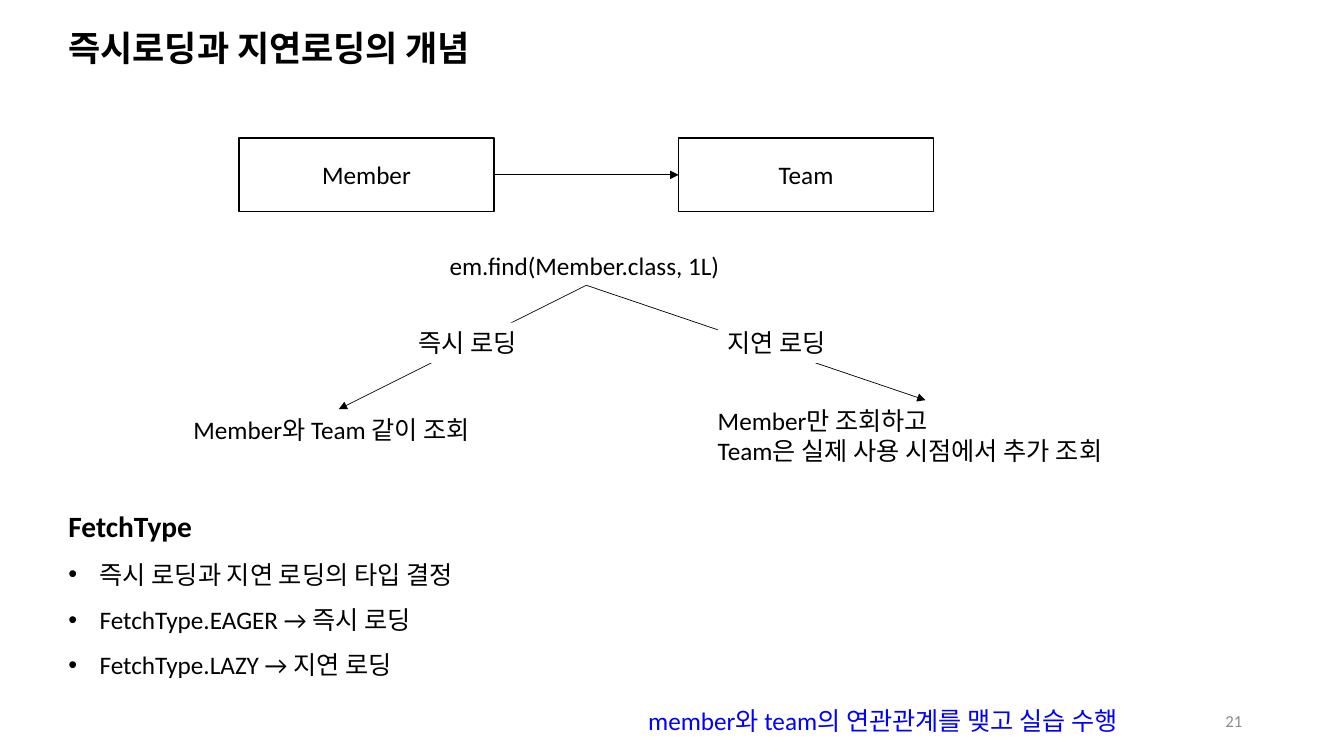
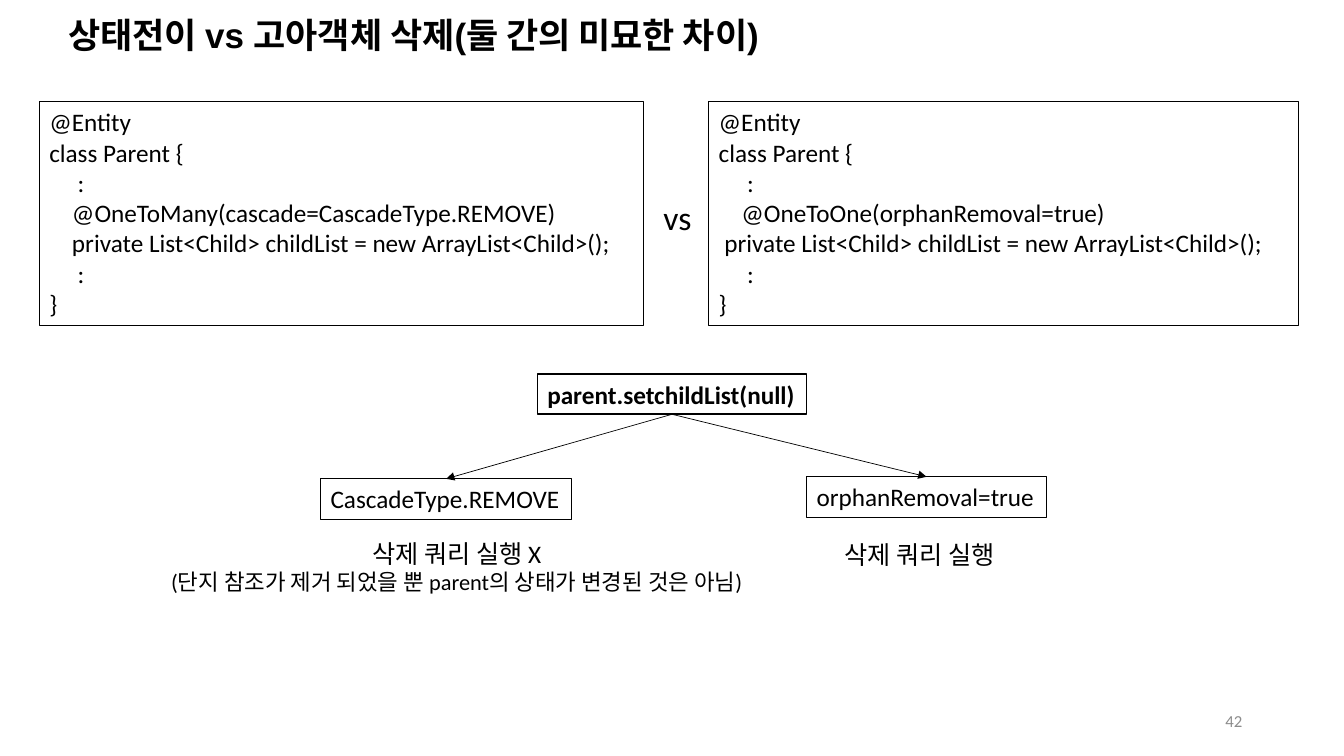
"""Builds two slides on loading strategies and orphan removal."""
from pptx import Presentation, util as u
from pptx.dml.color import RGBColor
from pptx.enum import shapes, text
from pptx.oxml.ns import qn
from lxml import etree

PX = 9144
BLACK, WHITE, BLUE, GREY = "000000", "FFFFFF", "0000FF", "8C8C8C"
TITLE_BOX, NUMBER_BOX = (58, 18, 1150, 38), (942, 695, 300, 40)
TOP, LEFT, BOTTOM, RIGHT = range(4)
CENTER = text.PP_ALIGN.CENTER
MIDDLE = text.MSO_ANCHOR.MIDDLE

STYLES = {
    "plain": {},
    "wrapped": {"wrap": True},
    "centered": {"align": CENTER},
    "label": {"fill": WHITE},
    "entity": {"fill": WHITE, "line": 1, "align": CENTER, "anchor": MIDDLE,
               "wrap": True, "grow": False},
    "code": {"line": 0.75, "wrap": True},
    "call": {"fill": WHITE, "line": 1, "font": {"bold": True}},
    "option": {"line": 0.75},
    "versus": {"font": {"size": 24}},
    "note": {"font": {"color": BLUE}},
    "bullets": {"wrap": True, "spacing": 1.5, "bullets": True},
    "number": {"align": text.PP_ALIGN.RIGHT, "anchor": MIDDLE, "wrap": True,
               "grow": False, "font": {"size": 12, "color": GREY}},
}


def entity_code(annotation, indent):
    return ["@Entity", "class Parent {", "     :", "    " + annotation,
            indent + "private List<Child> childList = new ArrayList<Child>();",
            "     :", "}"]


SLIDES = [
    {"title": "즉시로딩과 지연로딩의 개념", "spacing": 1.5, "number": "21",
     "boxes": [
         ("member", "entity", (237, 137, 253, 73), ["Member"]),
         ("team", "entity", (673, 137, 253, 73), ["Team"]),
         ("find", "plain", (436, 243, 291, 40), ["em.find(Member.class, 1L)"]),
         ("together", "wrapped", (182, 406, 308, 40), ["Member와 Team 같이 조회"]),
         ("later", "plain", (702, 397, 432, 71),
          ["Member만 조회하고", "Team은 실제 사용 시점에서 추가 조회"]),
         ("fetch", "bullets", (58, 482, 667, 199),
          [("FetchType", {"size": 21, "bold": True}),
           "즉시 로딩과 지연 로딩의 타입 결정",
           "FetchType.EAGER → 즉시 로딩", "FetchType.LAZY → 지연 로딩"]),
         ("practice", "note", (633, 695, 518, 40),
          ["member와 team의 연관관계를 맺고 실습 수행"]),
     ],
     "arrows": [("member", RIGHT, "team", LEFT),
                ("find", BOTTOM, "together", TOP),
                ("find", BOTTOM, "later", TOP)],
     "labels": [
         ("eager", "label", (405, 320, 127, 40), ["즉시 로딩"]),
         ("lazy", "label", (712, 320, 127, 40), ["지연 로딩"]),
     ]},
    {"title": "상태전이 vs 고아객체 삭제(둘 간의 미묘한 차이)", "spacing": 0.9,
     "number": "42",
     "boxes": [
         ("cascade code", "code", (39, 101, 599, 222),
          entity_code("@OneToMany(cascade=CascadeType.REMOVE)", "    ")),
         ("orphan code", "code", (703, 101, 585, 222),
          entity_code("@OneToOne(orphanRemoval=true)", " ")),
         ("vs", "versus", (648, 190, 48, 50), ["vs"]),
         ("call", "call", (533, 371, 267, 40), ["parent.setchildList(null)"]),
         ("cascade", "option", (318, 475, 249, 40), ["CascadeType.REMOVE"]),
         ("orphan", "option", (800, 473, 238, 40), ["orphanRemoval=true"]),
         ("cascade result", "centered", (136, 529, 634, 67),
          ["삭제 쿼리 실행 X",
           ("(단지 참조가 제거 되었을 뿐 parent의 상태가 변경된 것은 아님)",
            {"size": 16})]),
         ("orphan result", "plain", (828, 530, 183, 40), ["삭제 쿼리 실행"]),
     ],
     "arrows": [("call", BOTTOM, "cascade", TOP),
                ("call", BOTTOM, "orphan", TOP)],
     "labels": []},
]


def rgb(value):
    return RGBColor.from_string(value)


def emu(box):
    return [v * PX for v in box]


def add_run(p, words, **changes):
    r = p.add_run()
    r.text = words
    values = {"name": "Calibri", "size": 18, "bold": False, "color": BLACK, **changes}
    r.font.color.rgb = rgb(values.pop("color"))
    values["size"] = u.Pt(values["size"])
    for key, value in values.items():
        setattr(r.font, key, value)


def add_bullet(p):
    pPr = p._p.get_or_add_pPr()
    pPr.set("marL", str(31 * PX))
    pPr.set("indent", str(-31 * PX))
    etree.SubElement(pPr, qn("a:buFont")).set("typeface", "Arial")
    etree.SubElement(pPr, qn("a:buChar")).set("char", "•")


def add_box(s, style, box, lines):
    look = STYLES[style]
    if "fill" in look or "line" in look:
        sp = s.shapes.add_shape(shapes.MSO_SHAPE.RECTANGLE, *emu(box))
        sp.shadow.inherit = False
    else:
        sp = s.shapes.add_textbox(*emu(box))
    if "fill" in look:
        sp.fill.solid()
        sp.fill.fore_color.rgb = rgb(look["fill"])
    else:
        sp.fill.background()
    if "line" in look:
        sp.line.color.rgb = rgb(BLACK)
        sp.line.width = u.Pt(look["line"])
    else:
        sp.line.fill.background()
    tf = sp.text_frame
    tf.word_wrap = look.get("wrap", False)
    tf.vertical_anchor = look.get("anchor", text.MSO_ANCHOR.TOP)
    fit = text.MSO_AUTO_SIZE
    tf.auto_size = fit.SHAPE_TO_FIT_TEXT if look.get("grow", True) else fit.NONE
    for i, line in enumerate(lines):
        words, changes = (line, {}) if isinstance(line, str) else line
        p = tf.add_paragraph() if i else tf.paragraphs[0]
        if i and look.get("bullets"):
            add_bullet(p)
        p.alignment = look.get("align", text.PP_ALIGN.LEFT)
        p.line_spacing = look.get("spacing")
        add_run(p, words, **{**look.get("font", {}), **changes})
    return sp


def add_arrow(s, start, start_side, end, end_side):
    c = s.shapes.add_connector(shapes.MSO_CONNECTOR.STRAIGHT, 0, 0, 0, 0)
    c.begin_connect(start, start_side)
    c.end_connect(end, end_side)
    c.line.color.rgb = rgb(BLACK)
    c.line.width = u.Pt(0.5)
    spPr = c._element.spPr
    etree.SubElement(spPr.find(qn("a:ln")), qn("a:tailEnd")).set("type", "triangle")
    etree.SubElement(spPr, qn("a:effectLst"))


def set_title(s, words, spacing):
    sp = s.shapes.title
    sp.left, sp.top, sp.width, sp.height = emu(TITLE_BOX)
    tf = sp.text_frame
    tf.auto_size = text.MSO_AUTO_SIZE.NONE
    tf.word_wrap = True
    tf.vertical_anchor = MIDDLE
    p = tf.paragraphs[0]
    p.alignment = text.PP_ALIGN.LEFT
    p.line_spacing = spacing
    add_run(p, words, name="Arial", size=25, bold=True)


def main():
    prs = Presentation()
    prs.slide_width, prs.slide_height = u.Inches(13.33), u.Inches(7.5)
    for page in SLIDES:
        s = prs.slides.add_slide(prs.slide_layouts[5])
        set_title(s, page["title"], page["spacing"])
        add_box(s, "number", NUMBER_BOX, [page["number"]])
        placed = {name: add_box(s, *rest) for name, *rest in page["boxes"]}
        for start, start_side, end, end_side in page["arrows"]:
            add_arrow(s, placed[start], start_side, placed[end], end_side)
        for _, *rest in page["labels"]:
            add_box(s, *rest)
    prs.save("out.pptx")


if __name__ == "__main__":
    main()
